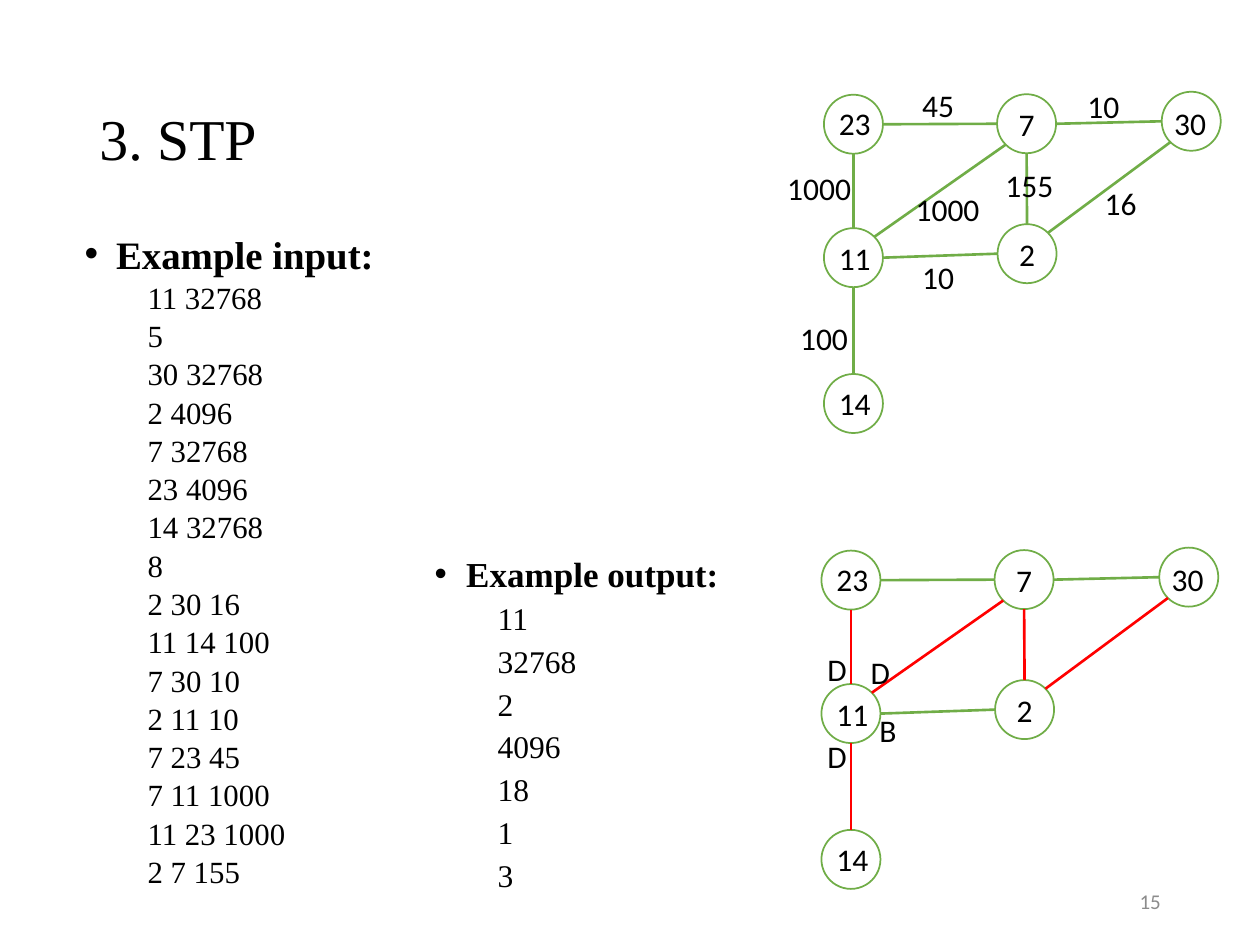
from dataclasses import dataclass
from math import sqrt

from lxml.etree import SubElement
from pptx import Presentation
from pptx.dml.color import RGBColor
from pptx.enum.shapes import MSO_CONNECTOR, MSO_SHAPE
from pptx.enum.text import MSO_ANCHOR, MSO_AUTO_SIZE, PP_ALIGN
from pptx.oxml.ns import qn
from pptx.util import Cm, Pt

BLACK = RGBColor(0x00, 0x00, 0x00)
WHITE = RGBColor(0xFF, 0xFF, 0xFF)
GREEN = RGBColor(0x70, 0xAD, 0x47)
RED = RGBColor(0xFF, 0x00, 0x00)
GRAY = RGBColor(0x8C, 0x8C, 0x8C)
SERIF, SANS = "Times New Roman", "Calibri"

SIZE = 1.19  # node diameter in cm
SHIFT = (-0.05, 9.19)  # from the input graph to the output graph
DIAG = sqrt(0.5)
TOP, BOTTOM, LEFT, RIGHT = (0, -1), (0, 1), (-1, 0), (1, 0)
LOWER, UPPER = (-DIAG, DIAG), (DIAG, -DIAG)


@dataclass
class Node:
    x: float
    y: float
    text: str = ""


@dataclass
class Edge:
    start: str
    out: tuple
    end: str
    into: tuple
    color: RGBColor  # in the output graph


@dataclass
class Tag:
    text: str
    x: float
    y: float
    width: float


NODES = {
    "30": Node(23.42, 1.85),
    "23": Node(16.61, 1.91),
    "7": Node(20.1, 1.9, "7"),
    "11": Node(16.61, 4.6),
    "2": Node(20.11, 4.52, "2"),
    "14": Node(16.61, 7.54),
}
EDGES = [
    Edge("11", BOTTOM, "14", TOP, RED),
    Edge("23", BOTTOM, "11", TOP, RED),
    Edge("7", LOWER, "11", UPPER, RED),
    Edge("2", TOP, "7", BOTTOM, RED),
    Edge("30", LOWER, "2", UPPER, RED),
    Edge("7", RIGHT, "30", LEFT, GREEN),
    Edge("7", LEFT, "23", RIGHT, GREEN),
    Edge("2", LEFT, "11", RIGHT, GREEN),
]
NAMES = [
    Tag("30", 23.42, 1.98, 1.2),
    Tag("11", 16.66, 4.7, 1.4),
    Tag("23", 16.66, 1.98, 1.65),
    Tag("14", 16.66, 7.62, 1.78),
]
COSTS = [
    Tag("16", 22.02, 3.58, 1.2),
    Tag("100", 15.88, 6.3, 2.18),
    Tag("10", 21.67, 1.63, 1.78),
    Tag("10", 18.34, 5.08, 1.2),
    Tag("45", 18.34, 1.6, 1.78),
    Tag("1000", 18.21, 3.71, 2.16),
    Tag("1000", 15.62, 3.28, 2.18),
    Tag("155", 20.02, 3.23, 1.93),
]
ROLES = [
    Tag("D", 17.3, 13.03, 1.37),
    Tag("D", 16.43, 14.73, 1.37),
    Tag("D", 16.43, 12.98, 1.37),
    Tag("B", 17.48, 14.2, 1.07),
]
INPUT = ["11 32768", "5", "30 32768", "2 4096", "7 32768", "23 4096",
         "14 32768", "8", "2 30 16", "11 14 100", "7 30 10", "2 11 10",
         "7 23 45", "7 11 1000", "11 23 1000", "2 7 155"]
OUTPUT = ["11", "32768", "2", "4096", "18", "1", "3"]


def style(par, size: float, face: str = SANS, color: RGBColor = BLACK,
          bold: bool = False) -> None:
    for run in par.runs:
        font = run.font
        font.size, font.name, font.bold = Pt(size), face, bold
        font.color.rgb = color


def place(shape, x: float, y: float, width: float, height: float) -> None:
    shape.left, shape.top = Cm(x), Cm(y)
    shape.width, shape.height = Cm(width), Cm(height)


def draw_list(shape, head: str, rows: list, big: float, small: float,
              space: float) -> None:
    frame = shape.text_frame
    frame.text = "\n".join([head, *rows])
    frame.auto_size = MSO_AUTO_SIZE.NONE
    for i, par in enumerate(frame.paragraphs):
        first = i == 0
        par.level = 0 if first else 1
        par.line_spacing = space
        par.space_before = Pt(10 if first else 5)
        style(par, big if first else small, SERIF, bold=first)
        props = par._p.get_or_add_pPr()
        props.set("marL", str(Cm(0.635 if first else 1.27)))
        props.set("indent", str(Cm(-0.635 if first else 0)))
        if first:
            SubElement(props, qn("a:buFont")).set("typeface", "Arial")
            SubElement(props, qn("a:buChar")).set("char", "•")
        else:
            SubElement(props, qn("a:buNone"))


def draw_tag(shapes, tag: Tag, dx: float = 0, dy: float = 0) -> None:
    box = shapes.add_textbox(Cm(tag.x + dx), Cm(tag.y + dy),
                             Cm(tag.width), Cm(1.02))
    frame = box.text_frame
    frame.word_wrap = True
    frame.text = tag.text
    style(frame.paragraphs[0], 18)


def draw_node(shapes, node: Node, dx: float, dy: float) -> None:
    oval = shapes.add_shape(MSO_SHAPE.OVAL, Cm(node.x + dx), Cm(node.y + dy),
                            Cm(SIZE), Cm(SIZE))
    oval.shadow.inherit = False
    oval.fill.solid()
    oval.fill.fore_color.rgb = WHITE
    oval.line.color.rgb = GREEN
    oval.line.width = Pt(1)
    if node.text:
        frame = oval.text_frame
        frame.text = node.text
        frame.vertical_anchor = MSO_ANCHOR.MIDDLE
        frame.paragraphs[0].alignment = PP_ALIGN.CENTER
        style(frame.paragraphs[0], 18)


def rim(name: str, side: tuple, dx: float, dy: float) -> tuple:
    node, half = NODES[name], SIZE / 2
    return (Cm(node.x + dx + half * (1 + side[0])),
            Cm(node.y + dy + half * (1 + side[1])))


def draw_edge(shapes, edge: Edge, color: RGBColor, dx: float, dy: float) -> None:
    line = shapes.add_connector(MSO_CONNECTOR.STRAIGHT,
                                *rim(edge.start, edge.out, dx, dy),
                                *rim(edge.end, edge.into, dx, dy))
    line.line.color.rgb = color
    line.line.width = Pt(1.5)
    SubElement(line._element.spPr, qn("a:effectLst"))


def draw_graph(slide, tags: list, tree: bool, dx: float = 0, dy: float = 0) -> None:
    shapes = slide.shapes.add_group_shape().shapes
    for node in NODES.values():
        draw_node(shapes, node, dx, dy)
    for edge in EDGES:
        draw_edge(shapes, edge, edge.color if tree else GREEN, dx, dy)
    for tag in tags:
        draw_tag(shapes, tag, dx, dy)


def main() -> None:
    deck = Presentation()
    deck.slide_width, deck.slide_height = Cm(25.4), Cm(19.05)
    slide = deck.slides.add_slide(deck.slide_layouts[3])
    title, left, right = slide.placeholders

    # Title and lists
    place(title, 1.75, 1.02, 21.89, 3.68)
    title.text_frame.text = "3. STP"
    title.text_frame.vertical_anchor = MSO_ANCHOR.MIDDLE
    par = title.text_frame.paragraphs[0]
    par.alignment, par.line_spacing = PP_ALIGN.LEFT, 0.9
    style(par, 33, SERIF)
    place(left, 1.45, 4.7, 11.96, 13.97)
    draw_list(left, "Example input:", INPUT, 22.2, 17.6, 0.8)
    place(right, 8.51, 11.1, 11.02, 9.27)
    draw_list(right, "Example output:", OUTPUT, 20, 18, 0.9)

    # Slide number
    box = slide.shapes.add_textbox(Cm(17.93), Cm(17.65), Cm(5.72), Cm(1.02))
    box.text_frame.word_wrap = True
    box.text_frame.text = "15"
    box.text_frame.vertical_anchor = MSO_ANCHOR.MIDDLE
    box.text_frame.paragraphs[0].alignment = PP_ALIGN.RIGHT
    style(box.text_frame.paragraphs[0], 12, color=GRAY)

    # Network with costs, then the spanning tree with port roles
    draw_graph(slide, NAMES + COSTS, False)
    draw_graph(slide, NAMES, True, *SHIFT)
    for tag in ROLES:
        draw_tag(slide.shapes, tag)

    deck.save("out.pptx")


if __name__ == "__main__":
    main()
